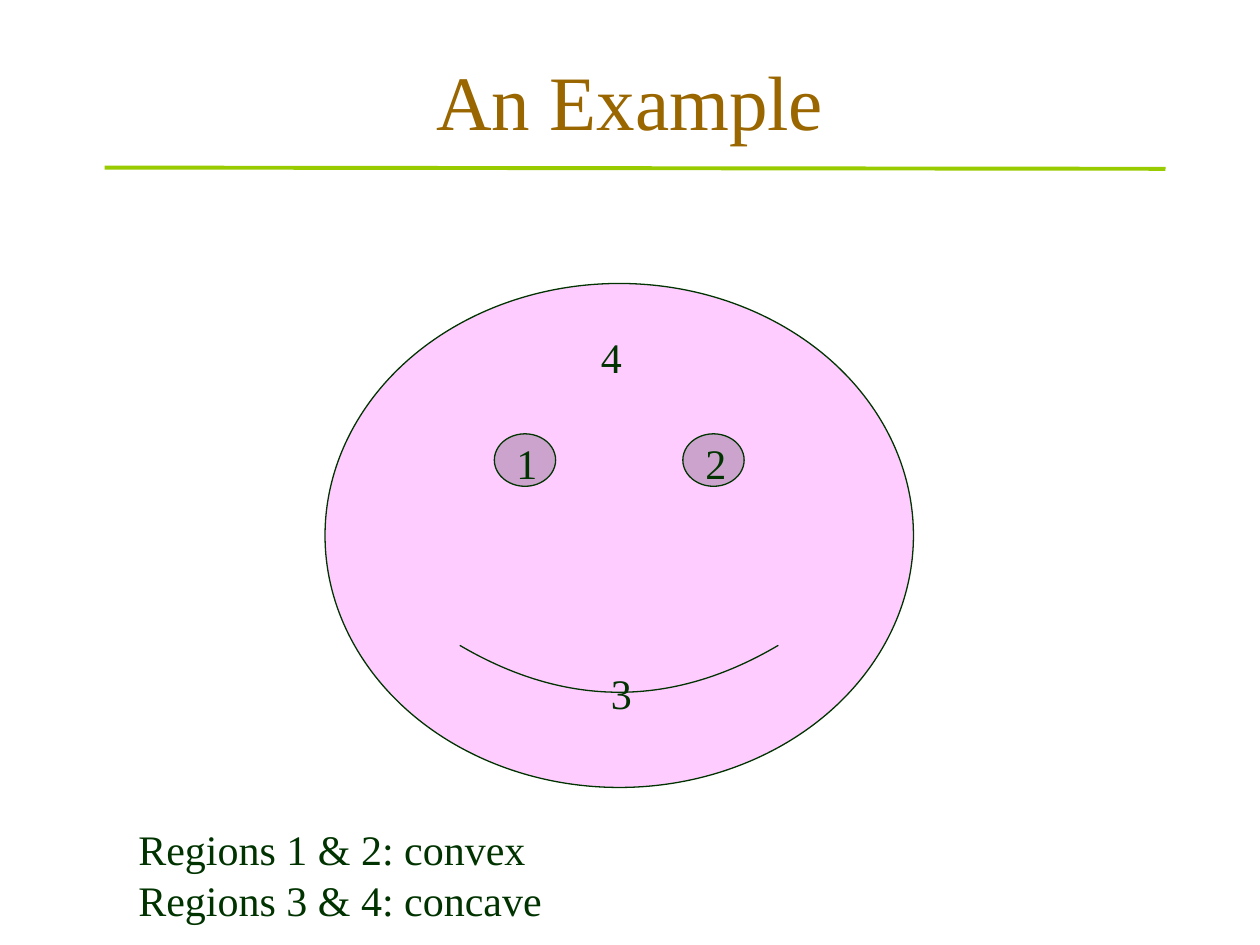
from dataclasses import dataclass

from lxml import etree
from pptx import Presentation
from pptx import util as u
from pptx.dml.color import RGBColor
from pptx.enum import shapes, text
from pptx.oxml.ns import qn

FONT = "Times New Roman"
BROWN, GREEN, LIME, PINK = "996600", "003300", "99CC00", "FFCCFF"


@dataclass
class Label:
    lines: list[str]
    left: float
    top: float
    width: float = 0.37
    height: float = 0.5


LABELS = [
    Label(["1"], 4, 3.42),
    Label(["2"], 5.5, 3.42),
    Label(["3"], 4.75, 5.25),
    Label(["4"], 4.67, 2.58),
    Label(["Regions 1 & 2: convex", "Regions 3 & 4: concave"], 1, 6.49, 3.47, 0.91),
]


def color(value: str) -> RGBColor:
    return RGBColor.from_string(value)


def box(*lengths: float) -> list[u.Length]:
    return [u.Inches(length) for length in lengths]


def set_format(target, values: dict) -> None:
    for name, value in values.items():
        setattr(target, name, value)


def style_font(paragraph, size: float, font_color: str) -> None:
    set_format(paragraph.font, {"name": FONT, "size": u.Pt(size)})
    paragraph.font.color.rgb = color(font_color)


def style_line(line, line_color: str, width: float) -> None:
    line.color.rgb = color(line_color)
    line.width = u.Pt(width)


def format_title(title) -> None:
    left, top, width, height = box(0.75, 0.17, 8.5, 1.25)
    set_format(title, {"left": left, "top": top, "width": width, "height": height})
    frame = title.text_frame
    frame.text = "An Example"
    set_format(frame, {"vertical_anchor": text.MSO_ANCHOR.MIDDLE,
                       "auto_size": text.MSO_AUTO_SIZE.NONE})
    paragraph = frame.paragraphs[0]
    paragraph.alignment = text.PP_ALIGN.CENTER
    style_font(paragraph, 44, BROWN)


def add_face(slide) -> None:
    face = slide.shapes.add_shape(
        shapes.MSO_SHAPE.SMILEY_FACE, *box(2.58, 2.25, 4.67, 4))
    face.adjustments[0] = 0.047
    face.shadow.inherit = False
    face.fill.solid()
    face.fill.fore_color.rgb = color(PINK)
    style_line(face.line, GREEN, 0.75)


def add_label(slide, label: Label) -> None:
    shape = slide.shapes.add_textbox(
        *box(label.left, label.top, label.width, label.height))
    frame = shape.text_frame
    set_format(frame, {"word_wrap": False,
                       "auto_size": text.MSO_AUTO_SIZE.SHAPE_TO_FIT_TEXT})
    frame.text = "\n".join(label.lines)
    for paragraph in frame.paragraphs:
        paragraph.alignment = text.PP_ALIGN.LEFT
        style_font(paragraph, 24, GREEN)


def add_title_rule(slide) -> None:
    rule = slide.shapes.add_connector(
        shapes.MSO_CONNECTOR.STRAIGHT, *box(0.83, 1.33, 9.25, 1.34))
    style_line(rule.line, LIME, 2.25)
    etree.SubElement(rule._element.spPr, qn("a:effectLst"))


def main() -> None:
    presentation = Presentation()
    set_format(presentation, {"slide_width": u.Inches(10),
                              "slide_height": u.Inches(7.5)})
    slide = presentation.slides.add_slide(
        presentation.slide_layouts.get_by_name("Title Only"))
    format_title(slide.shapes.title)
    add_face(slide)
    *region_numbers, caption = LABELS
    for label in region_numbers:
        add_label(slide, label)
    add_title_rule(slide)
    add_label(slide, caption)
    presentation.save("out.pptx")


if __name__ == "__main__":
    main()
